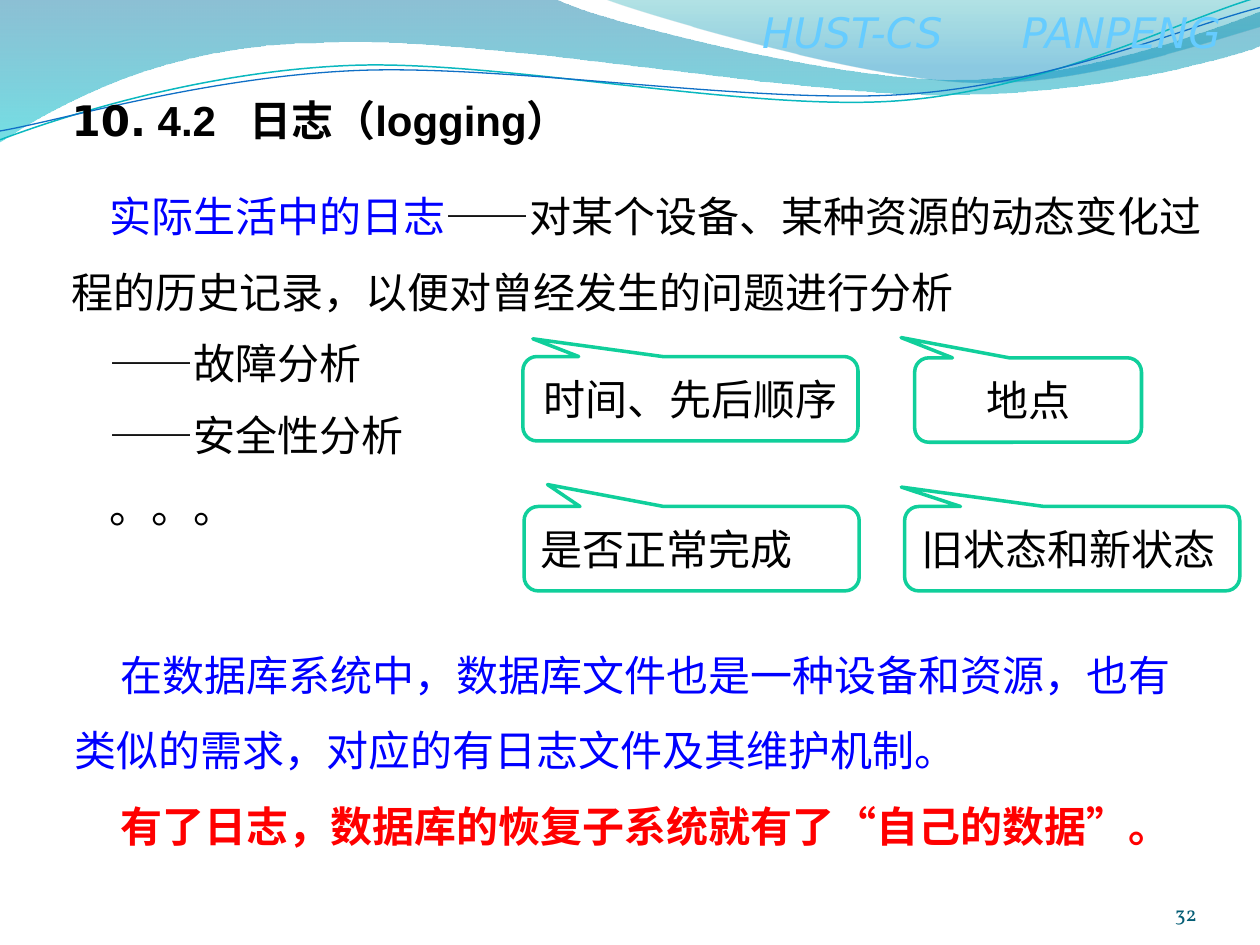
from math import cos, radians, sin

from lxml.etree import SubElement
from pptx import Presentation
from pptx.dml.color import RGBColor
from pptx.enum.shapes import MSO_SHAPE
from pptx.enum.text import MSO_ANCHOR, PP_ALIGN
from pptx.oxml.ns import qn
from pptx.util import Inches, Pt

COLORS = {
    "black": "000000", "white": "FFFFFF", "blue": "0000FF", "red": "FF0000",
    "header": "66CCFF", "number": "045D75", "callout": "10CF9B",
    "deep blue": "0074A1", "cyan": "00C6CF", "teal": "00A1A9", "sky": "008BBF",
    "teal line": "0AB8BF", "blue line": "0F6FC6",
}
HEADING, BODY, NUMBER = "DejaVu Sans", "Noto Sans CJK SC", "Vollkorn"
LINE_TILT = 2.7

# Each wave is a chain of points; a six-number entry is a cubic curve.
LEFT_WAVE = [
    (0, -0.01), (4.4, -0.01), (4.76, 0.17, 6.64, 0.63, 7.58, 0.63),
    (8.53, 0.63, 9.58, 0.26, 10, 0.09), (10.01, 0.36),
    (9.83, 0.44, 8.7, 0.76, 7.46, 0.75), (6.22, 0.75, 3.82, 0.28, 2.57, 0.34),
    (1.29, 0.35, 0.46, 0.83, -0.01, 1.13), (0, -0.01),
]
RIGHT_WAVE = [
    (4.79, -0.01), (5.09, 0.11, 6.82, 0.62, 7.69, 0.65),
    (8.56, 0.69, 9.61, 0.32, 10, 0.21), (10, 0), (4.79, -0.01),
]
TEAL_LINE = [
    (0, 1.11), (0.48, 0.93, 1.58, 0.57, 2.77, 0.52),
    (3.95, 0.47, 5.93, 0.89, 7.13, 0.8), (8.33, 0.71, 9.38, 0.15, 9.98, -0.02),
]
BLUE_LINE = [
    (0, 1.04), (0.47, 0.96, 1.64, 0.61, 2.83, 0.56),
    (4.03, 0.51, 5.97, 0.83, 7.17, 0.75), (8.36, 0.67, 9.41, 0.21, 10, 0.06),
]


def color(name):
    return RGBColor.from_string(COLORS[name])


def pairs(entry):
    return list(zip(entry[::2], entry[1::2]))


def turn(chain, center, degrees):
    """Rotate a chain clockwise about a center."""
    c, s = cos(radians(degrees)), sin(radians(degrees))
    turned = []
    for entry in chain:
        offsets = [(x - center[0], y - center[1]) for x, y in pairs(entry)]
        turned.append(tuple(value for x, y in offsets
                            for value in (center[0] + x * c - y * s, center[1] + x * s + y * c)))
    return turned


def add_outline(slide, chain, close):
    """Add a freeform through the chain's end points, then bend its curved segments."""
    ends = [tuple(Inches(value) for value in entry[-2:]) for entry in chain]
    builder = slide.shapes.build_freeform(*ends[0])
    builder.add_line_segments(ends[1:], close=close)
    shape = builder.convert_to_shape()
    shape.shadow.inherit = False
    segments = list(shape._element.iter(qn("a:lnTo")))
    for segment, entry in zip(segments, chain[1:]):
        if len(entry) == 6:
            curve = segment.getparent().makeelement(qn("a:cubicBezTo"))
            for x, y in pairs(entry):
                SubElement(curve, qn("a:pt"), x=str(Inches(x) - shape.left),
                           y=str(Inches(y) - shape.top))
            segment.getparent().replace(segment, curve)
    return shape


def add_wave(slide, chain, stops):
    """Add a filled wave; stops holds (position, colour, opacity in percent)."""
    shape = add_outline(slide, chain, True)
    shape.line.fill.background()
    shape.fill.gradient()
    shape.fill.gradient_angle = 270
    for stop, (position, name, _) in zip(shape.fill.gradient_stops, stops):
        stop.position = position
        stop.color.rgb = color(name)
    for element, (_, _, opacity) in zip(shape._element.iter(qn("a:srgbClr")), stops):
        SubElement(element, qn("a:alpha"), val=str(opacity * 1000))


def add_wave_line(slide, chain, center, name, width):
    shape = add_outline(slide, turn(chain, center, LINE_TILT), False)
    shape.rotation = -LINE_TILT
    shape.fill.background()
    shape.line.color.rgb = color(name)
    shape.line.width = Pt(width)


def add_text_box(slide, left, top, width, height, wrap=True):
    box = slide.shapes.add_textbox(Inches(left), Inches(top), Inches(width), Inches(height))
    box.text_frame.word_wrap = wrap
    return box.text_frame


def add_tab(paragraph, position):
    tabs = SubElement(paragraph._p.get_or_add_pPr(), qn("a:tabLst"))
    SubElement(tabs, qn("a:tab"), pos=str(Inches(position)), algn="l")


def set_font(font, name, size=24, tint="black"):
    font.name = name
    font.size = Pt(size)
    font.color.rgb = color(tint)


def add_header(slide, left, top, width, height):
    add_wave(slide, LEFT_WAVE, [(0, "deep blue", 45), (1, "cyan", 55)])
    add_wave(slide, RIGHT_WAVE, [(0, "teal", 30), (0.8, "sky", 45)])
    add_wave_line(slide, TEAL_LINE, (4.99, 0.57), "teal line", 0.85)
    add_wave_line(slide, BLUE_LINE, (5, 0.59), "blue line", 0.75)
    paragraph = add_text_box(slide, left, top, width, height, wrap=False).paragraphs[0]
    add_tab(paragraph, 2.06)
    paragraph.add_run().text = "HUST-CS\tPANPENG"
    set_font(paragraph.font, HEADING, tint="header")
    paragraph.font.italic = True


def add_slide_number(slide, left, top, width, height):
    frame = add_text_box(slide, left, top, width, height)
    frame.margin_left = frame.margin_top = frame.margin_right = frame.margin_bottom = 0
    frame.vertical_anchor = MSO_ANCHOR.BOTTOM
    paragraph = frame.paragraphs[0]
    paragraph.alignment = PP_ALIGN.RIGHT
    paragraph.add_run().text = "32"
    set_font(paragraph.font, NUMBER, 12, "number")


def add_paragraph(frame, runs, font_name, line, before=0, indent=0, tab=0):
    """Add a paragraph of (text, colour) runs to the frame."""
    first = not frame.paragraphs[0].runs
    paragraph = frame.paragraphs[0] if first else frame.add_paragraph()
    paragraph.line_spacing = Pt(line)
    if before:
        paragraph.space_before = Pt(before)
    if indent:
        paragraph._p.get_or_add_pPr().set("indent", str(Inches(indent)))
    if tab:
        add_tab(paragraph, tab)
    for text, tint in runs:
        run = paragraph.add_run()
        run.text = text
        run.font.color.rgb = color(tint)
    paragraph.font.name = font_name
    paragraph.font.size = Pt(24)
    return paragraph


def add_log_notes(slide, left, top, width, height):
    frame = add_text_box(slide, left, top, width, height)
    title = add_paragraph(frame, [("10.", "black"), (" 4.2\t日志（logging）", "black")],
                          "Arial", 29, tab=1.41)
    title.runs[0].font.name = HEADING
    title.font.bold = True
    add_paragraph(frame, [
        ("实际生活中的日志", "blue"),
        ("——对某个设备、某种资源的动态变化过程的历史记录，以便对曾经发生的问题进行分析", "black"),
    ], BODY, 43, 12, 0.3)
    for text in ("——故障分析", "——安全性分析", "。。。"):
        add_paragraph(frame, [(text, "black")], BODY, 29, 12, 0.3)


def add_conclusion(slide, left, top, width, height):
    frame = add_text_box(slide, left, top, width, height)
    add_paragraph(frame, [
        ("在数据库系统中，数据库文件也是一种设备和资源，也有类似的需求，对应的有日志文件及其维护机制。", "blue"),
    ], HEADING, 43, indent=0.37)
    add_paragraph(frame, [("有了日志，数据库的恢复子系统就有了“自己的数据”。", "red")],
                  HEADING, 43, indent=0.37).font.bold = True


def add_callout(slide, left, top, width, height, text, tip, alignment):
    shape = slide.shapes.add_shape(MSO_SHAPE.ROUNDED_RECTANGULAR_CALLOUT, Inches(left),
                                   Inches(top), Inches(width), Inches(height))
    shape.shadow.inherit = False
    for index, value in enumerate((*tip, 0.167)):
        shape.adjustments[index] = value
    shape.fill.solid()
    shape.fill.fore_color.rgb = color("white")
    shape.line.color.rgb = color("callout")
    shape.line.width = Pt(2)
    shape.text_frame.vertical_anchor = MSO_ANCHOR.MIDDLE
    paragraph = shape.text_frame.paragraphs[0]
    paragraph.alignment = alignment
    run = paragraph.add_run()
    run.text = text
    run.font.color.rgb = color("black")
    set_font(paragraph.font, BODY)


def main():
    presentation = Presentation()
    presentation.slide_width, presentation.slide_height = Inches(10), Inches(7.5)
    slide = presentation.slides.add_slide(presentation.slide_layouts[6])
    add_header(slide, 5.95, 0, 4.05, 0.5)
    add_slide_number(slide, 8.67, 6.95, 0.83, 0.4)
    add_log_notes(slide, 0.47, 0.7, 9.22, 3.74)
    for left, top, width, text, tip, alignment in (
        (4.15, 2.83, 2.66, "时间、先后顺序", (-0.47, -0.71), PP_ALIGN.CENTER),
        (7.26, 2.84, 1.8, "地点", (-0.56, -0.74), PP_ALIGN.CENTER),
        (7.18, 4.02, 2.66, "旧状态和新状态", (-0.51, -0.73), PP_ALIGN.LEFT),
        (4.16, 4.02, 2.66, "是否正常完成", (-0.43, -0.76), PP_ALIGN.LEFT),
    ):
        add_callout(slide, left, top, width, 0.67, text, tip, alignment)
    add_conclusion(slide, 0.49, 4.91, 9.06, 1.83)
    presentation.save("out.pptx")


if __name__ == "__main__":
    main()
